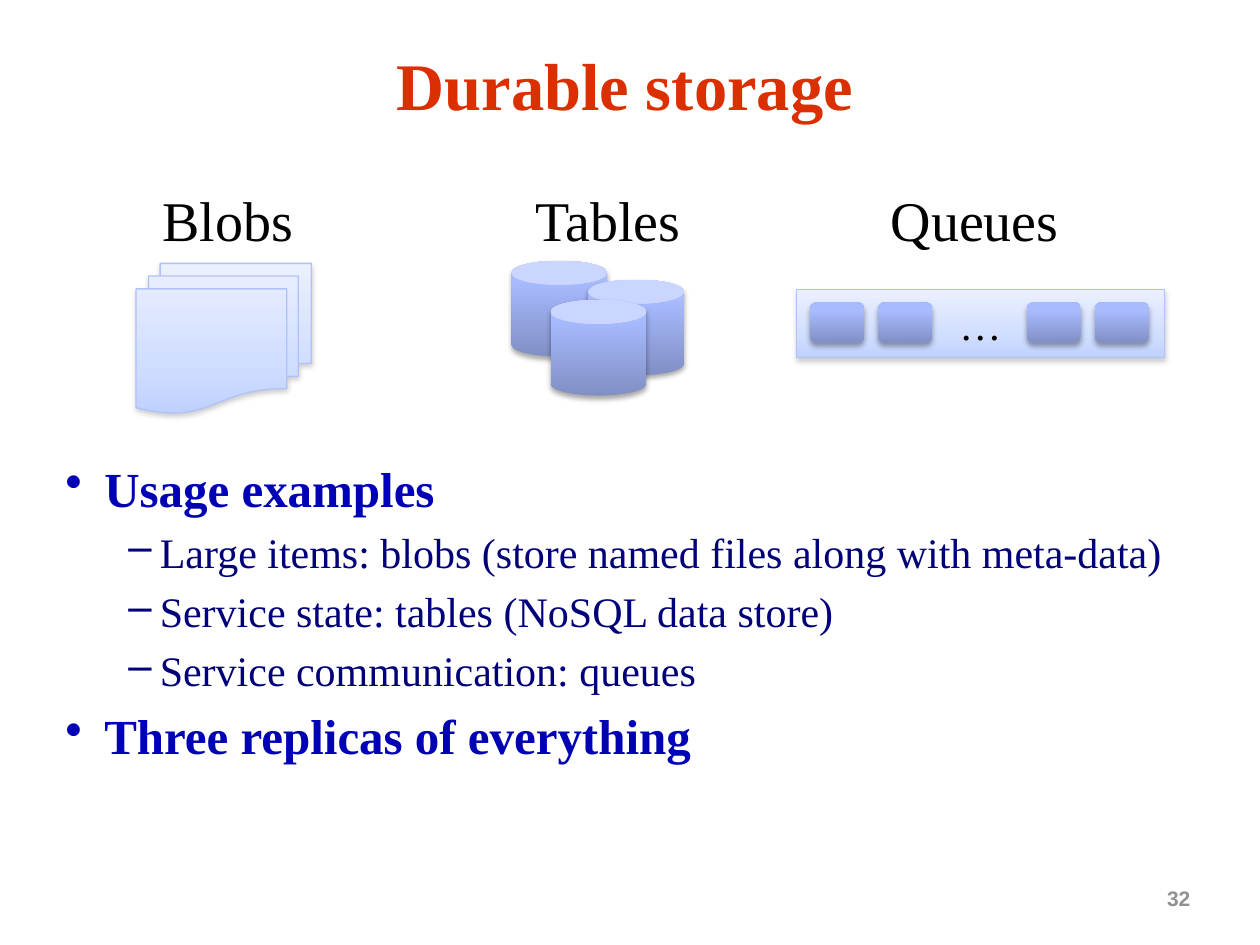
import lxml.etree
import pptx
import pptx.dml.color
import pptx.enum.shapes
import pptx.enum.text
import pptx.oxml.ns
import pptx.util

RGB = pptx.dml.color.RGBColor
SHAPE = pptx.enum.shapes.MSO_SHAPE
ALIGN = pptx.enum.text.PP_ALIGN
ANCHOR = pptx.enum.text.MSO_ANCHOR

RED = RGB(0xDC, 0x2F, 0x00)
BLUE = RGB(0x00, 0x00, 0xB4)
NAVY = RGB(0x00, 0x00, 0x78)
GREY = RGB(0x91, 0x91, 0x91)
BLACK = RGB(0x00, 0x00, 0x00)
OUTLINE = RGB(0xB1, 0xC1, 0xFA)
SHADE = RGB(0x80, 0x80, 0x80)

# Looks: gradient stops, angle, outline, shadow (colour, opacity %, distance pt)
PALE = dict(
    stops=[(0, RGB(0xEB, 0xF0, 0xFF)), (65, RGB(0xD1, 0xDE, 0xFF)), (100, RGB(0xBF, 0xD1, 0xFF))],
    angle=90, outline=OUTLINE, shadow=(SHADE, 38, 1.6))
DEEP = dict(
    stops=[(0, RGB(0x81, 0x8F, 0xC5)), (80, RGB(0xA8, 0xBB, 0xFF)), (100, RGB(0xAA, 0xBC, 0xFF))],
    angle=270, outline=None, shadow=(BLACK, 35, 1.8))


def add_xml(parent, tag, **attributes):
    return lxml.etree.SubElement(
        parent, pptx.oxml.ns.qn(tag), {name: str(value) for name, value in attributes.items()})


class Deck:
    """Style and current slide; places are columns and rows of a 100 x 75 grid."""
    serif = "Times New Roman"
    sans = "Arial"
    # Per level: mark, margin, hanging indent, size, colour, space before
    bullets = [("•", 0.31, 0.31, 28, BLUE, 9.5), ("–", 0.75, 0.25, 24, NAVY, 8)]

    def __init__(self, width=10, height=7.5):
        self.deck = pptx.Presentation()
        self.deck.slide_width = pptx.util.Inches(width)
        self.deck.slide_height = pptx.util.Inches(height)
        self.slide = self.deck.slides.add_slide(self.deck.slide_layouts[6])

    def place(self, left, top, width, height):
        column, row = self.deck.slide_width / 100, self.deck.slide_height / 75
        return [round(value) for value in (left * column, top * row, width * column, height * row)]

    def set_words(self, paragraph, words, size, colour, bold=False, align=ALIGN.LEFT, face=None):
        paragraph.text = words
        paragraph.alignment = align
        font = paragraph.font
        font.name, font.size, font.bold = face or self.serif, pptx.util.Pt(size), bold
        font.color.rgb = colour

    def frame(self, at, anchor=ANCHOR.TOP):
        frame = self.slide.shapes.add_textbox(*self.place(*at)).text_frame
        frame.word_wrap = True
        frame.vertical_anchor = anchor
        return frame

    def text(self, at, words, size, colour, anchor=ANCHOR.TOP, **style):
        paragraph = self.frame(at, anchor).paragraphs[0]
        self.set_words(paragraph, words, size, colour, **style)
        return paragraph

    def outline_list(self, at, items):
        frame = self.frame(at)
        for index, (level, words) in enumerate(items):
            paragraph = frame.add_paragraph() if index else frame.paragraphs[0]
            mark, margin, hang, size, colour, gap = self.bullets[level]
            self.set_words(paragraph, words, size, colour, bold=level == 0)
            paragraph.level = level
            paragraph.line_spacing = 0.9
            paragraph.space_before = pptx.util.Pt(gap)
            properties = paragraph._p.get_or_add_pPr()
            properties.set("marL", str(pptx.util.Inches(margin)))
            properties.set("indent", str(-pptx.util.Inches(hang)))
            bullet = add_xml(properties, "a:buChar", char=mark)
            properties.find(pptx.oxml.ns.qn("a:spcBef")).addnext(bullet)

    def shape(self, kind, at, look):
        shape = self.slide.shapes.add_shape(kind, *self.place(*at))
        if look["outline"] is None:
            shape.line.fill.background()
        else:
            shape.line.color.rgb = look["outline"]
            shape.line.width = pptx.util.Pt(0.75)
        # Gradient fill
        properties = shape._element.spPr
        gradient = add_xml(properties, "a:gradFill", rotWithShape=1)
        stops = add_xml(gradient, "a:gsLst")
        for position, colour in look["stops"]:
            add_xml(add_xml(stops, "a:gs", pos=position * 1000), "a:srgbClr", val=colour)
        add_xml(gradient, "a:lin", ang=look["angle"] * 60000, scaled=0)
        properties.find(pptx.oxml.ns.qn("a:prstGeom")).addnext(gradient)
        # Soft shadow straight below
        shape.shadow.inherit = False
        colour, opacity, distance = look["shadow"]
        effects = properties.find(pptx.oxml.ns.qn("a:effectLst"))
        shadow = add_xml(effects, "a:outerShdw", blurRad=pptx.util.Pt(3.1),
                         dist=pptx.util.Pt(distance), dir=90 * 60000, rotWithShape=0)
        add_xml(add_xml(shadow, "a:srgbClr", val=colour), "a:alpha", val=opacity * 1000)
        return shape


def main():
    storage = Deck()

    # Page number and title
    storage.text((91.3, 69.8, 4.5, 3), "32", 12, GREY, bold=True,
                 align=ALIGN.CENTER, face=storage.sans)
    title = storage.text((2.5, 3.3, 94.2, 7.5), "Durable storage", 38, RED,
                         anchor=ANCHOR.MIDDLE, bold=True, align=ALIGN.CENTER)
    title.line_spacing = 0.9

    # Usage list
    storage.outline_list((4.2, 36.4, 91.7, 35.3), [
        (0, "Usage examples"),
        (1, "Large items: blobs (store named files along with meta-data)"),
        (1, "Service state: tables (NoSQL data store)"),
        (1, "Service communication: queues"),
        (0, "Three replicas of everything"),
    ])

    # Storage kind headings
    for left, width, heading in ((11.9, 13.2, "Blobs"), (41.5, 15, "Tables"), (69.7, 17.7, "Queues")):
        storage.text((left, 14.2, width, 6.4), heading, 32, BLACK)

    # Blobs: stack of documents
    storage.shape(SHAPE.FLOWCHART_MULTIDOCUMENT, (10.8, 20.9, 13.9, 11.9), PALE)

    # Tables: three cans, back to front
    for left, top in ((40.6, 20.7), (46.7, 22.2), (43.7, 23.8)):
        storage.shape(SHAPE.CAN, (left, top, 7.6, 7.6), DEEP)

    # Queues: a bar with two messages at each end
    queue = storage.shape(SHAPE.RECTANGLE, (63.2, 23, 29.2, 5.4), PALE)
    queue.text_frame.vertical_anchor = ANCHOR.MIDDLE
    storage.set_words(queue.text_frame.paragraphs[0], "…", 24, BLACK, align=ALIGN.CENTER)
    for end in (64.3, 81.5):
        for message in range(2):
            storage.shape(SHAPE.ROUNDED_RECTANGLE, (end + 5.4 * message, 24, 4.3, 3.2), DEEP)

    storage.deck.save("out.pptx")


if __name__ == "__main__":
    main()
